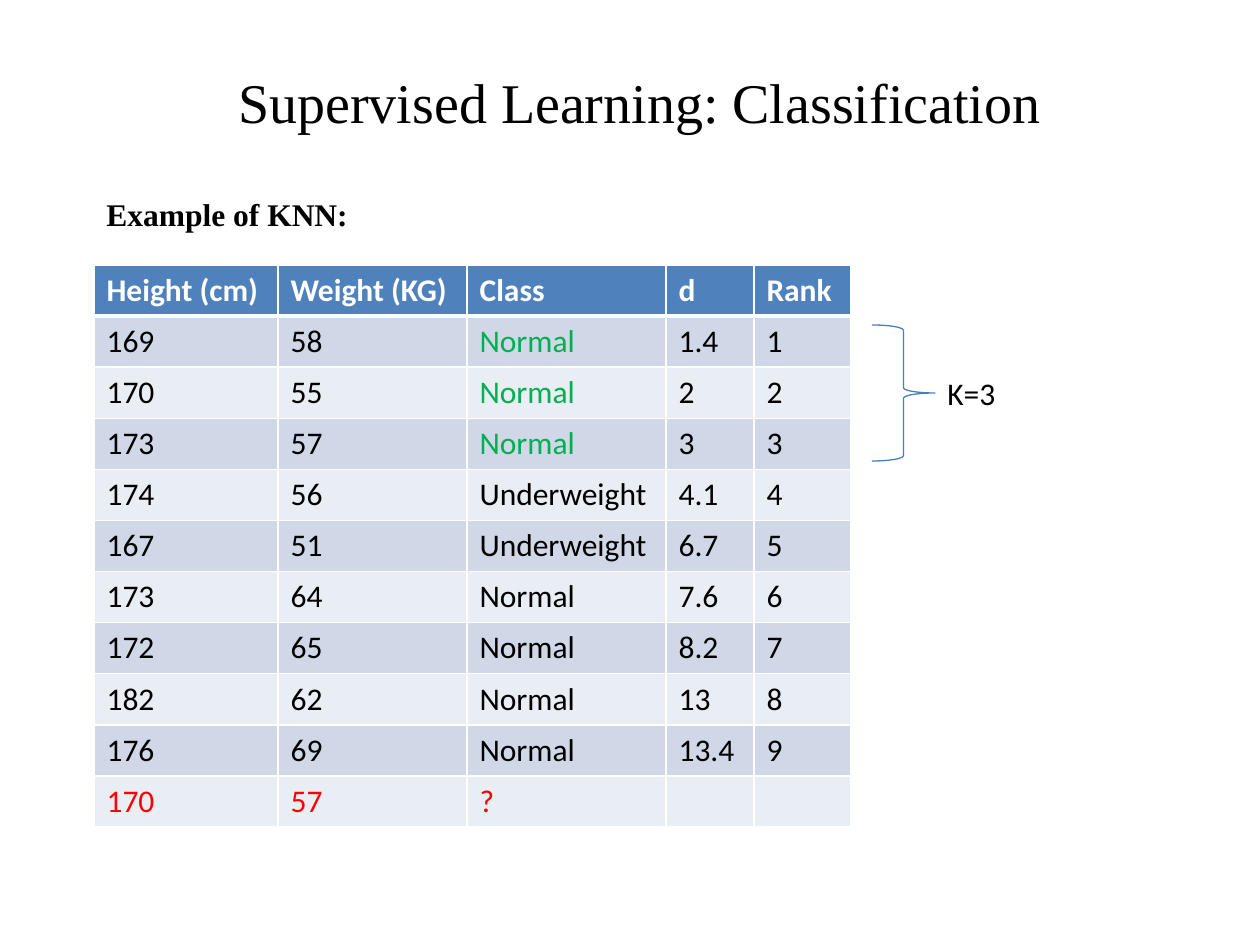
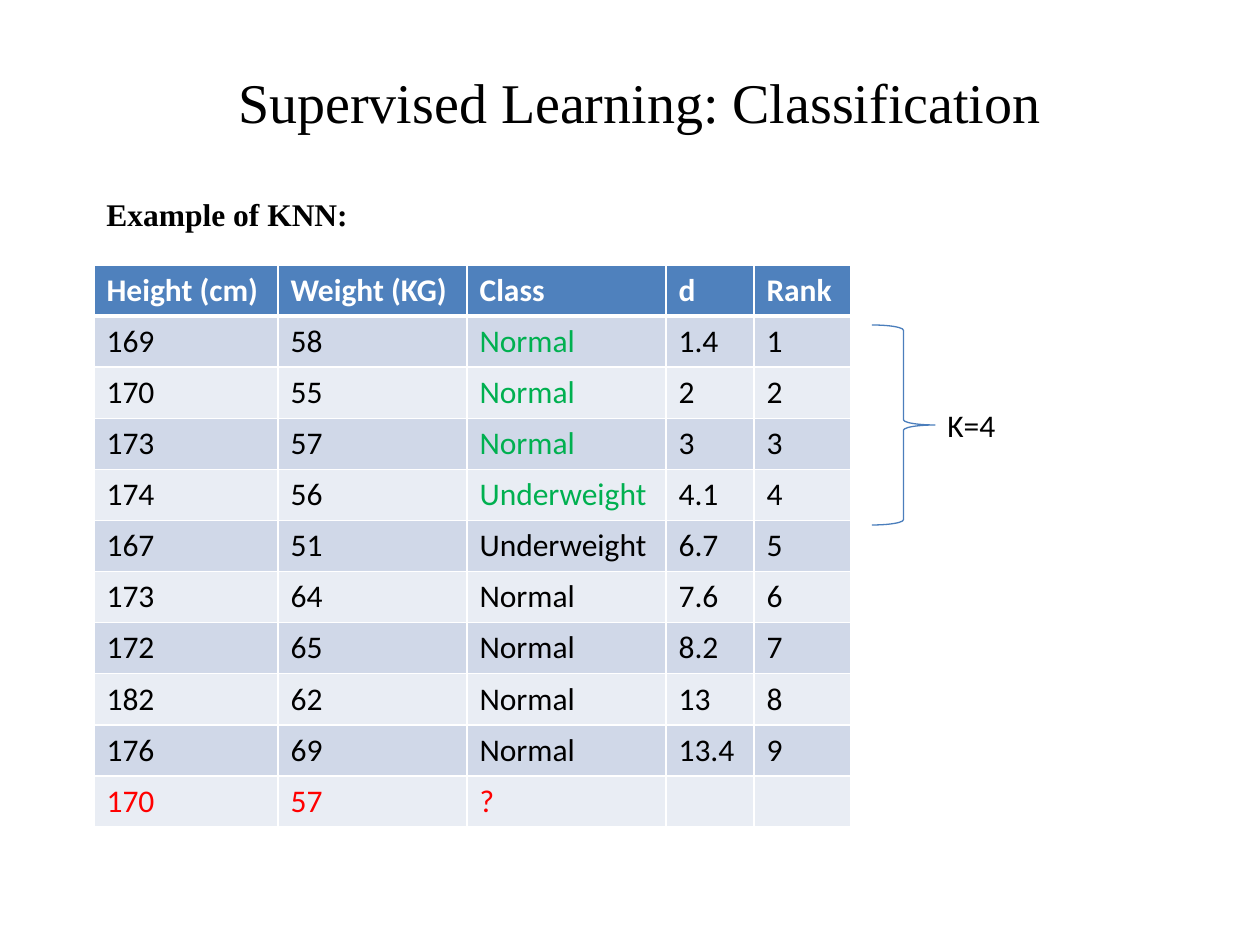
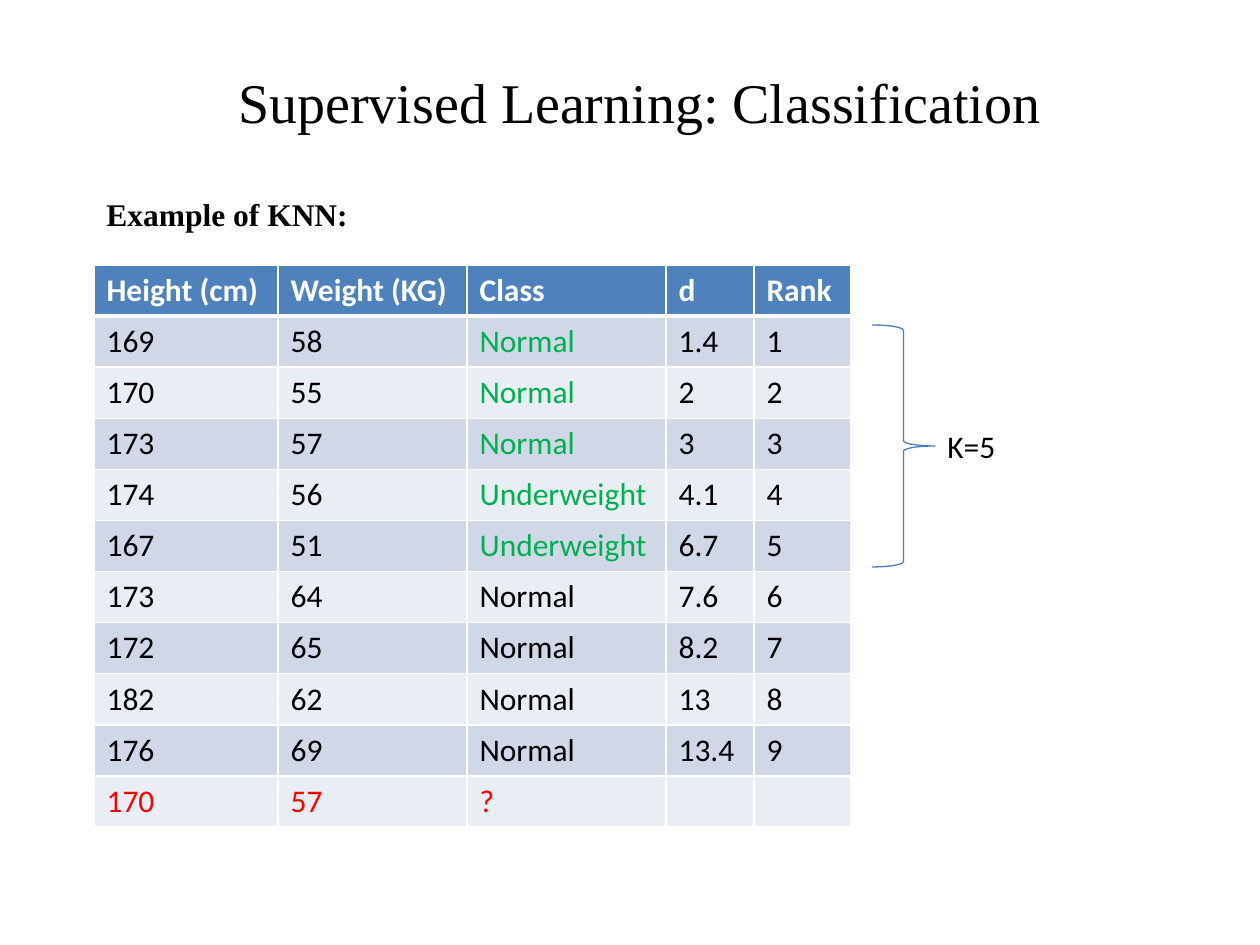
from lxml import etree
from pptx import Presentation
from pptx.dml.color import RGBColor
from pptx.enum.shapes import MSO_SHAPE
from pptx.enum.text import MSO_ANCHOR, MSO_AUTO_SIZE, PP_ALIGN
from pptx.oxml.ns import qn
from pptx.util import Emu, Pt

BRACE = MSO_SHAPE.RIGHT_BRACE
TOP, MIDDLE = MSO_ANCHOR.TOP, MSO_ANCHOR.MIDDLE
LEFT, CENTER, JUSTIFY = PP_ALIGN.LEFT, PP_ALIGN.CENTER, PP_ALIGN.JUSTIFY
NO_FIT = MSO_AUTO_SIZE.NONE

PX_PER_INCH = 126
SERIF, SANS = "Times New Roman", "Calibri"
COLORS = {
    "text": "000000",
    "white": "FFFFFF",
    "header": "4F81BD",
    "band_dark": "D0D8E8",
    "band_light": "E9EDF4",
    "neighbour": "00B050",
    "query": "FF0000",
    "brace": "4B7EBC",
}

# Samples sorted by distance to the query, which is the last row
HEADER = ["Height (cm)", "Weight (KG)", "Class", "d", "Rank"]
SAMPLES = [
    ["169", "58", "Normal", "1.4", "1"],
    ["170", "55", "Normal", "2", "2"],
    ["173", "57", "Normal", "3", "3"],
    ["174", "56", "Underweight", "4.1", "4"],
    ["167", "51", "Underweight", "6.7", "5"],
    ["173", "64", "Normal", "7.6", "6"],
    ["172", "65", "Normal", "8.2", "7"],
    ["182", "62", "Normal", "13", "8"],
    ["176", "69", "Normal", "13.4", "9"],
]
QUERY = ["170", "57", "?", "", ""]
CLASS_COL = HEADER.index("Class")
COL_WIDTHS = [184, 189, 199, 88, 97]
ROW_HEIGHT = 51

# Brace height for each number of neighbours
BRACE_HEIGHTS = {3: 136, 4: 200, 5: 242}
BRACE_LEFT, BRACE_TOP, BRACE_WIDTH = 872, 325, 63
LABEL_WIDTH, LABEL_HEIGHT = 116, 50


def px(n):
    return Emu(round(n * 914400 / PX_PER_INCH))


def rgb(name):
    return RGBColor.from_string(COLORS[name])


def write(tf, text, font=SANS, size=18, color="text", bold=False,
          align=LEFT, before=0):
    p = tf.paragraphs[0]
    p.alignment = align
    p.space_before = Pt(before)
    r = p.add_run()
    r.text = text
    r.font.name = font
    r.font.size = Pt(size)
    r.font.bold = bold
    r.font.color.rgb = rgb(color)


def set_border(cell, side, width, color="white"):
    ln = etree.SubElement(cell._tc.get_or_add_tcPr(), qn(f"a:ln{side}"),
                          w=str(Pt(width)))
    fill = etree.SubElement(ln, qn("a:solidFill"))
    etree.SubElement(fill, qn("a:srgbClr"), val=COLORS[color])


class Deck:
    def __init__(self):
        self.prs = Presentation()
        self.prs.slide_width, self.prs.slide_height = px(1260), px(945)
        self.s = None

    def slide(self):
        self.s = self.prs.slides.add_slide(self.prs.slide_layouts[6])

    def text(self, text, x, y, w, h, anchor=TOP, **fmt):
        tf = self.s.shapes.add_textbox(px(x), px(y), px(w), px(h)).text_frame
        tf.word_wrap = True
        tf.auto_size = NO_FIT
        tf.vertical_anchor = anchor
        write(tf, text, **fmt)

    def table(self, rows, x, y, text_color):
        frame = self.s.shapes.add_table(
            len(rows), len(COL_WIDTHS), px(x), px(y),
            px(sum(COL_WIDTHS)), px(ROW_HEIGHT * len(rows)))
        tbl = frame.table
        for col, width in zip(tbl.columns, COL_WIDTHS):
            col.width = px(width)
        for i, values in enumerate(rows):
            tbl.rows[i].height = px(ROW_HEIGHT)
            band = "header" if i == 0 else "band_dark" if i % 2 else "band_light"
            for j, value in enumerate(values):
                cell = tbl.cell(i, j)
                # The rule under the header is thicker
                for side, width in (("L", 1), ("R", 1), ("T", 3 if i == 1 else 1),
                                    ("B", 3 if i == 0 else 1)):
                    set_border(cell, side, width)
                cell.fill.solid()
                cell.fill.fore_color.rgb = rgb(band)
                if value:
                    write(cell.text_frame, value, color=text_color(i, j),
                          bold=i == 0)

    def brace(self, x, y, w, h):
        sp = self.s.shapes.add_shape(BRACE, px(x), px(y), px(w), px(h))
        sp.shadow.inherit = False
        sp.fill.background()
        sp.line.color.rgb = rgb("brace")
        sp.line.width = Pt(0.75)


def knn_slide(deck, k):
    rows = [HEADER, *SAMPLES, QUERY]

    def text_color(i, j):
        if i == 0:
            return "white"
        if i == len(rows) - 1:
            return "query"
        return "neighbour" if j == CLASS_COL and i <= k else "text"

    deck.slide()
    # Headings
    deck.text("Supervised Learning: Classification", 220, 53, 840, 97,
              anchor=MIDDLE, font=SERIF, size=32, align=CENTER)
    deck.text("Example of KNN:", 94, 189, 1029, 598,
              font=SERIF, bold=True, align=JUSTIFY, before=3.6)
    # Samples
    deck.table(rows, 94, 265, text_color)
    # Nearest neighbours, with the label at the tip of the brace
    height = BRACE_HEIGHTS[k]
    deck.brace(BRACE_LEFT, BRACE_TOP, BRACE_WIDTH, height)
    deck.text(f"K={k}", BRACE_LEFT + BRACE_WIDTH,
              BRACE_TOP + (height - LABEL_HEIGHT) // 2, LABEL_WIDTH, LABEL_HEIGHT)


def main():
    deck = Deck()
    for k in BRACE_HEIGHTS:
        knn_slide(deck, k)
    deck.prs.save("out.pptx")


if __name__ == "__main__":
    main()
